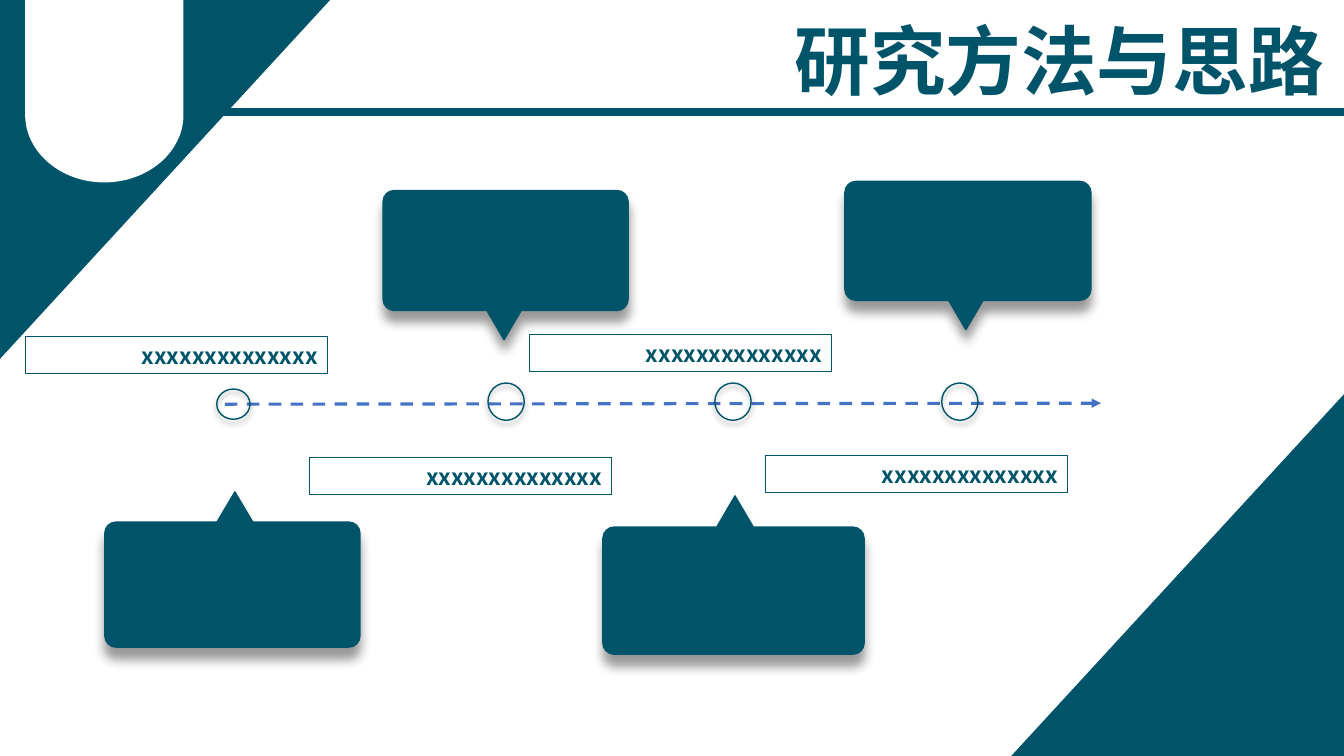
import pptx
import pptx.dml.color
import pptx.enum.dml
import pptx.enum.shapes
import pptx.enum.text
import pptx.oxml
import pptx.oxml.ns
import pptx.util

Inches = pptx.util.Inches
Pt = pptx.util.Pt
qn = pptx.oxml.ns.qn
NAMESPACE = pptx.oxml.ns.nsdecls("a")
PRESETS = pptx.enum.shapes.MSO_SHAPE
ALIGN = pptx.enum.text.PP_ALIGN
ANCHOR = pptx.enum.text.MSO_ANCHOR

TITLE = "研究方法与思路"
LABEL = "xxxxxxxxxxxxxx"
FONT = "Noto Sans CJK SC"
COLORS = {"teal": "00546A", "white": "FFFFFF", "arrow": "4472C4", "shadow": "000000"}

# left, top, width, height, rotation
BANDS = [
    (-2.7, -0.66, 6.06, 3.11, 312.6),
    (9.77, 5.24, 6.06, 3.11, 312.6),
    (2.12, 1.08, 11.42, 0.06, 180),
]
# left, right, straight bottom, lowest point
TAB = (0.25, 1.82, 1.14, 1.81)
# left, top, width, height
MARKERS = [(2.15, 3.86, 0.33, 0.3)] + [(4.84 + 2.25 * i, 3.8, 0.36, 0.37) for i in range(3)]
# left, body top, width, body height, tip x, tip y
CALLOUTS = [
    (1.04, 5.18, 2.53, 1.24, 2.33, 4.88),
    (5.98, 5.23, 2.59, 1.26, 7.29, 4.92),
    (8.38, 1.8, 2.44, 1.18, 9.58, 3.27),
    (3.8, 1.89, 2.43, 1.19, 5.0, 3.37),
]
LABEL_POSITIONS = [(0.25, 3.34), (3.07, 4.54), (5.25, 3.32), (7.59, 4.52)]
LABEL_SIZE = (3.0, 0.37)
CORNER = 0.11
POINTER_RATIO = 0.07  # half the pointer's base, as a share of the callout width
ARC_HANDLE = 0.55


def color(name):
    return pptx.dml.color.RGBColor.from_string(COLORS[name])


def quarter(start, corner, end):
    """Bezier points of a quarter ellipse whose tangents meet at corner."""
    handles = [tuple(p + (c - p) * ARC_HANDLE for p, c in zip(point, corner))
               for point in (start, end)]
    return [*handles, end]


def style(shape, fill=None, line=None, line_width=1):
    shape.shadow.inherit = False
    if fill:
        shape.fill.solid()
        shape.fill.fore_color.rgb = color(fill)
    else:
        shape.fill.background()
    if line:
        shape.line.color.rgb = color(line)
        shape.line.width = Pt(line_width)
    else:
        shape.line.fill.background()


def add_shadow(shape, blur, distance):
    effects = shape.element.spPr.find(qn("a:effectLst"))
    effects.append(pptx.oxml.parse_xml(
        f'<a:outerShdw {NAMESPACE} blurRad="{Pt(blur)}" dist="{Pt(distance)}" '
        f'dir="5400000" algn="t" rotWithShape="0"><a:srgbClr val="{COLORS["shadow"]}">'
        '<a:alpha val="40000"/></a:srgbClr></a:outerShdw>'))


def add_preset(slide, preset, *box):
    return slide.shapes.add_shape(preset, *map(Inches, box))


def add_outline(slide, start, segments):
    """Closed outline; a segment of one point is a line, of three a Bezier curve."""
    points = [(Inches(x), Inches(y)) for segment in segments for x, y in segment]
    builder = slide.shapes.build_freeform(*map(Inches, start))
    builder.add_line_segments(points, close=True)
    shape = builder.convert_to_shape()
    steps = iter(list(shape.element.iter(qn("a:lnTo"))))
    for segment in segments:
        step = next(steps)
        if len(segment) == 3:
            curve = pptx.oxml.parse_xml(f"<a:cubicBezTo {NAMESPACE}/>")
            step.addprevious(curve)
            for part in (step, next(steps), next(steps)):
                curve.append(part[0])
                part.getparent().remove(part)
    return shape


def add_callout(slide, left, top, width, height, tip_x, tip_y):
    right, half = left + width, width * POINTER_RATIO
    # near is the edge that carries the pointer; inward runs from it to far
    near, far, inward = (top, top + height, 1) if tip_y < top else (top + height, top, -1)
    corners = [(right, near, -1, 0), (right, far, 0, -1), (left, far, 1, 0), (left, near, 0, 1)]
    segments = [[(tip_x + half, near)]]
    for x, y, step_x, step_y in corners:
        across = (x + (CORNER if x == left else -CORNER), y)
        along = (x, y + inward * (CORNER if y == near else -CORNER))
        start, end = (across, along) if step_x == -1 or step_y == 1 else (along, across)
        if (x, y) == (left, far):
            start, end = across, along
        elif (x, y) == (left, near):
            start, end = along, across
        segments += [[start], quarter(start, (x, y), end)]
    segments.append([(tip_x - half, near)])
    return add_outline(slide, (tip_x, tip_y), segments)


def add_tab(slide):
    left, right, straight, lowest = TAB
    bottom = ((left + right) / 2, lowest)
    return add_outline(slide, (left, 0), [
        [(right, 0)],
        [(right, straight)],
        quarter((right, straight), (right, lowest), bottom),
        quarter(bottom, (left, lowest), (left, straight)),
    ])


def set_text(shape, text, size, alignment, anchor):
    frame = shape.text_frame
    frame.text = text
    frame.word_wrap = True
    frame.auto_size = pptx.enum.text.MSO_AUTO_SIZE.NONE
    frame.vertical_anchor = anchor
    paragraph = frame.paragraphs[0]
    paragraph.alignment = alignment
    font = paragraph.font
    font.size, font.bold = Pt(size), True
    font.color.rgb = color("teal")
    paragraph.runs[0].font.name = FONT
    latin = next(shape.element.iter(qn("a:latin")))
    latin.addnext(pptx.oxml.parse_xml(f'<a:ea {NAMESPACE} typeface="{FONT}"/>'))


def add_timeline(slide):
    timeline = slide.shapes.add_connector(
        pptx.enum.shapes.MSO_CONNECTOR.STRAIGHT,
        Inches(2.23), Inches(4.01), Inches(10.92), Inches(4))
    timeline.line.color.rgb = color("arrow")
    timeline.line.width = Pt(2.25)
    timeline.line.dash_style = pptx.enum.dml.MSO_LINE.DASH
    properties = timeline.element.spPr
    properties.find(qn("a:ln")).append(
        pptx.oxml.parse_xml(f'<a:tailEnd {NAMESPACE} type="triangle"/>'))
    properties.append(pptx.oxml.parse_xml(f"<a:effectLst {NAMESPACE}/>"))


def main():
    presentation = pptx.Presentation()
    presentation.slide_width, presentation.slide_height = Inches(13.33), Inches(7.5)
    slide = presentation.slides.add_slide(presentation.slide_layouts[5])

    title = slide.shapes.title
    title.left, title.top = Inches(7.78), Inches(0.09)
    title.width, title.height = Inches(6.87), Inches(1.01)
    set_text(title, TITLE, 54, ALIGN.LEFT, ANCHOR.TOP)

    for *box, rotation in BANDS:
        band = add_preset(slide, PRESETS.RECTANGLE, *box)
        band.rotation = rotation
        style(band, "teal", "teal")

    style(add_tab(slide), "white")
    add_timeline(slide)

    for box in MARKERS:
        marker = add_preset(slide, PRESETS.OVAL, *box)
        style(marker, line="teal")
        add_shadow(marker, 4, 3)

    for box in CALLOUTS:
        callout = add_callout(slide, *box)
        style(callout, "teal", "teal")
        add_shadow(callout, 8, 8)

    for position in LABEL_POSITIONS:
        label = add_preset(slide, PRESETS.RECTANGLE, *position, *LABEL_SIZE)
        style(label, line="teal", line_width=0.75)
        set_text(label, LABEL, 16, ALIGN.RIGHT, ANCHOR.MIDDLE)

    presentation.save("out.pptx")


if __name__ == "__main__":
    main()
